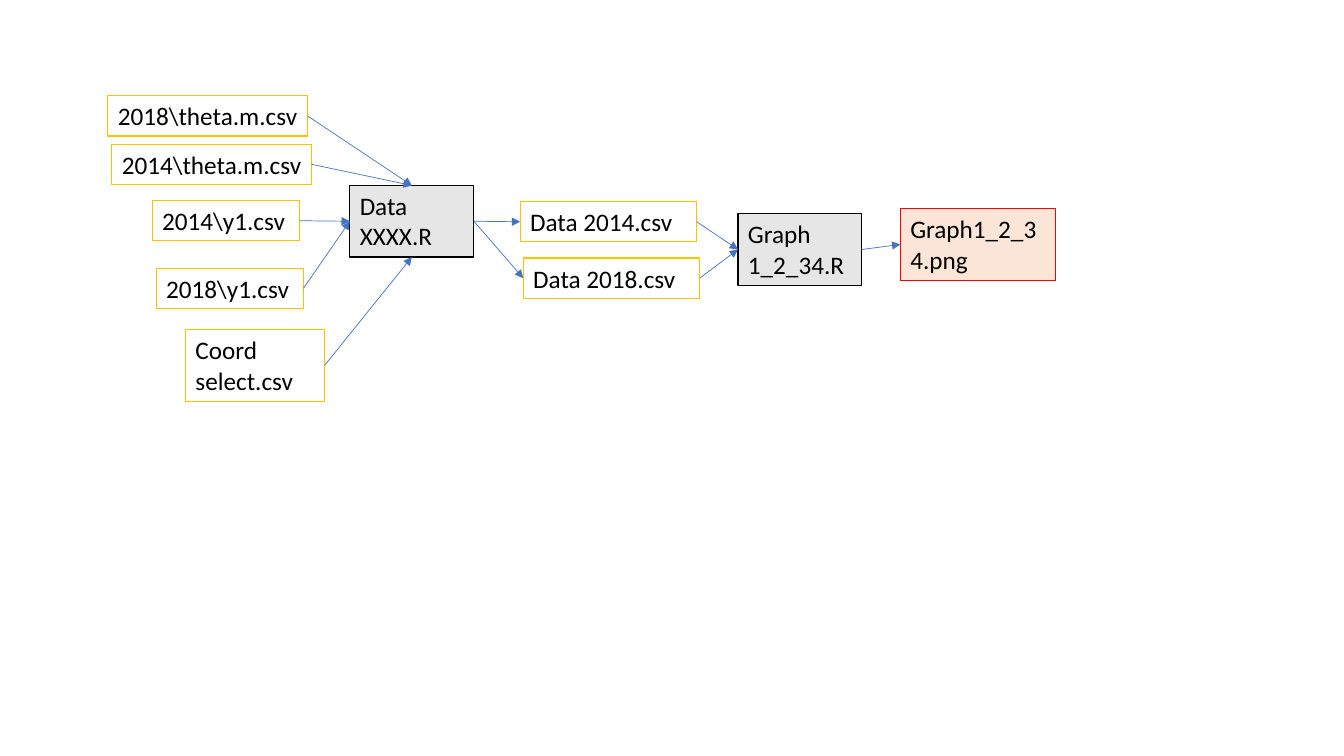
import pptx
import pptx.util
import pptx.dml.color
import pptx.enum.shapes
import pptx.enum.text
import pptx.oxml.ns
from dataclasses import dataclass
from lxml import etree

Inches = pptx.util.Inches
TOP, LEFT, BOTTOM, RIGHT = range(4)  # connection sites of a rectangle


@dataclass(frozen=True)
class Theme:
    font: str = "Calibri"
    size: int = 18
    text: str = "000000"
    arrow: str = "4472C4"
    box_line: float = 0.75
    arrow_line: float = 0.5
    one_line: float = 0.4
    two_lines: float = 0.71
    # kind of box: fill, outline
    data: tuple = ("FFFFFF", "FFC000")
    open_data: tuple = (None, "FFC000")
    script: tuple = ("E7E6E6", "000000")
    figure: tuple = ("FBE5D6", "FF0000")


THEME = Theme()


def rgb(value):
    return pptx.dml.color.RGBColor.from_string(value)


def add_box(s, text, left, top, width, height, kind, wrap=True):
    fill, outline = kind
    sp = s.shapes.add_shape(pptx.enum.shapes.MSO_SHAPE.RECTANGLE,
                            Inches(left), Inches(top), Inches(width), Inches(height))
    sp.shadow.inherit = False
    if fill:
        sp.fill.solid()
        sp.fill.fore_color.rgb = rgb(fill)
    else:
        sp.fill.background()
    sp.line.color.rgb = rgb(outline)
    sp.line.width = pptx.util.Pt(THEME.box_line)
    tf = sp.text_frame
    tf.text = text
    tf.word_wrap = wrap
    tf.vertical_anchor = pptx.enum.text.MSO_ANCHOR.TOP
    p = tf.paragraphs[0]
    p.alignment = pptx.enum.text.PP_ALIGN.LEFT
    font = p.runs[0].font
    font.name, font.size = THEME.font, pptx.util.Pt(THEME.size)
    font.color.rgb = rgb(THEME.text)
    return sp


def add_arrow(s, source, target, site=LEFT):
    """Arrow from the right side of source to a site of target."""
    line = s.shapes.add_connector(pptx.enum.shapes.MSO_CONNECTOR.STRAIGHT, 0, 0, 0, 0)
    line.begin_connect(source, RIGHT)
    line.end_connect(target, site)
    line.line.color.rgb = rgb(THEME.arrow)
    line.line.width = pptx.util.Pt(THEME.arrow_line)
    qn = pptx.oxml.ns.qn
    etree.SubElement(line.line._get_or_add_ln(), qn("a:tailEnd"), type="triangle")
    etree.SubElement(line._element.spPr, qn("a:effectLst"))


def add_inputs(s, left, top):
    """Source files, each with the site of the script it feeds."""
    one, two = THEME.one_line, THEME.two_lines
    rows = [
        (r"2018\theta.m.csv", 0, 0, 1.98, one, THEME.open_data, TOP),
        (r"2014\theta.m.csv", 0.04, 0.48, 1.98, one, THEME.open_data, TOP),
        (r"2014\y1.csv", 0.44, 1.04, 1.46, one, THEME.data, LEFT),
        (r"2018\y1.csv", 0.48, 1.71, 1.46, one, THEME.data, LEFT),
        ("Coord select.csv", 0.77, 2.32, 1.38, two, THEME.data, BOTTOM),
    ]
    return [(add_box(s, text, left + x, top + y, w, h, kind,
                     wrap=kind != THEME.open_data), site)
            for text, x, y, w, h, kind, site in rows]


def add_script(s, text, left, top):
    return add_box(s, text, left, top, 1.23, THEME.two_lines, THEME.script)


def add_yearly_data(s, left, top):
    rows = [("Data 2014.csv", 0, 0), ("Data 2018.csv", 0.03, 0.56)]
    return [add_box(s, text, left + x, top + y, 1.75, THEME.one_line, THEME.data)
            for text, x, y in rows]


def add_figure(s, left, top):
    return add_box(s, "Graph1_2_34.png", left, top, 1.54, THEME.two_lines, THEME.figure)


prs = pptx.Presentation()
prs.slide_width, prs.slide_height = Inches(13.33), Inches(7.5)
s = prs.slides.add_slide(prs.slide_layouts[6])

# Boxes, from left to right
inputs = add_inputs(s, 1.07, 0.95)
data_script = add_script(s, "Data XXXX.R", 3.47, 1.84)
yearly_data = add_yearly_data(s, 5.16, 2.0)
graph_script = add_script(s, "Graph 1_2_34.R", 7.32, 2.12)
figure = add_figure(s, 8.93, 2.07)

# Arrows along the flow
for source, site in inputs:
    add_arrow(s, source, data_script, site)
for data in yearly_data:
    add_arrow(s, data_script, data)
    add_arrow(s, data, graph_script)
add_arrow(s, graph_script, figure)

prs.save("out.pptx")
